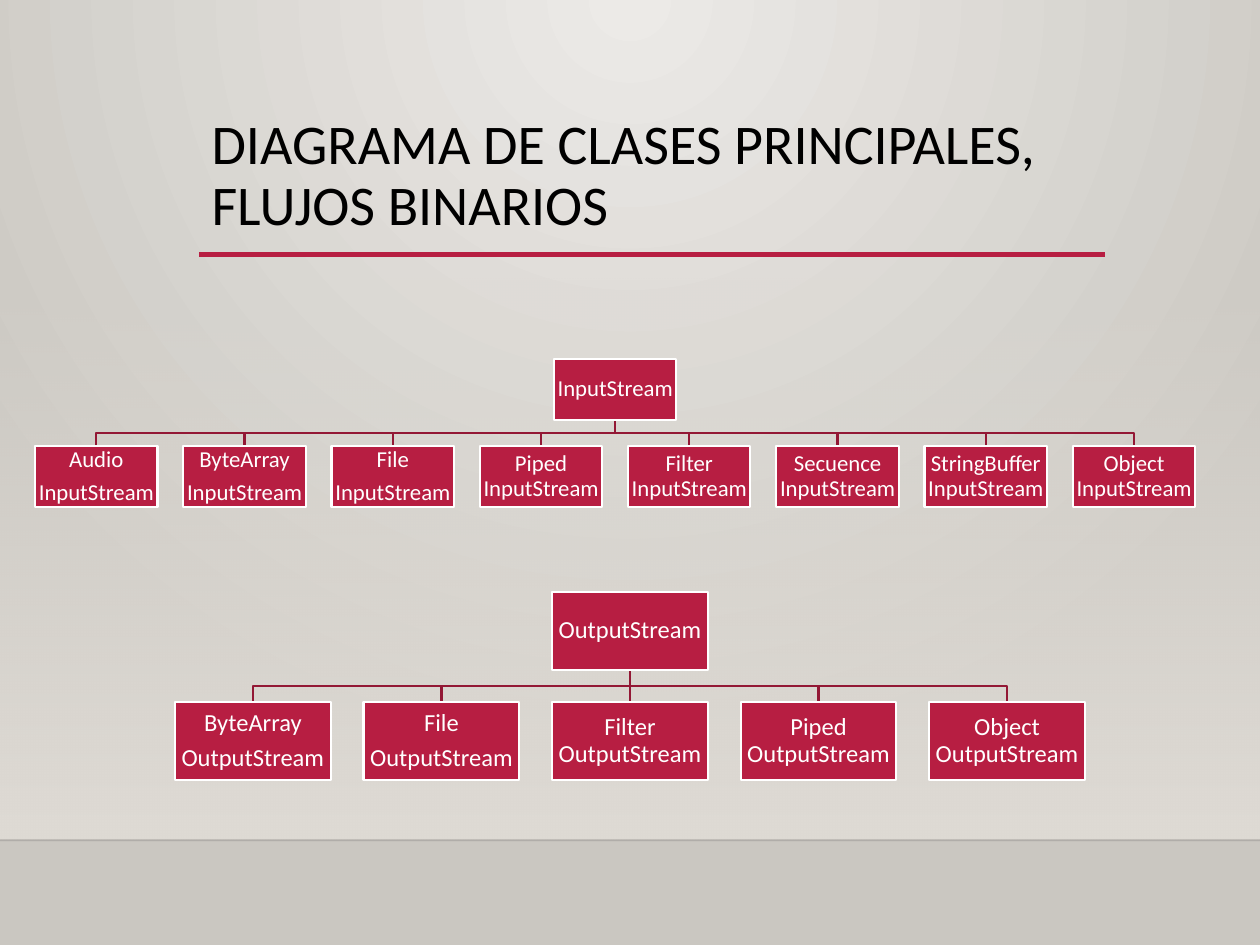
import pptx
import pptx.util
import pptx.dml.color
import pptx.enum.shapes
import pptx.enum.text
import pptx.oxml.ns
import lxml.etree

Pt = pptx.util.Pt
qn = pptx.oxml.ns.qn
RECT = pptx.enum.shapes.MSO_SHAPE.RECTANGLE
HUES = {"red": "B71E42", "link": "931835", "white": "FFFFFF", "ink": "000000",
        "rule": "000001", "veil": "DFDBD5", "pale": "ECEAE7", "stone": "CAC7C1"}


def hue(name):
    return pptx.dml.color.RGBColor.from_string(HUES[name])


def add(parent, tag, **attrs):
    return lxml.etree.SubElement(parent, qn(tag), attrs)


def fade(fill, owner, stops):
    fill.gradient()
    grad = next(owner.iter(qn("a:gradFill")))
    for child in list(grad):
        grad.remove(child)
    row = add(grad, "a:gsLst")
    for pos, name, alpha in stops:
        stop = add(row, "a:gs", pos=str(pos * 1000))
        tint = add(stop, "a:srgbClr", val=HUES[name])
        add(tint, "a:alpha", val=str(alpha * 1000))
    return grad


def style(item, values):
    for key, value in values.items():
        setattr(item, key, value)


def write(frame, lines, size, name, look, para):
    style(frame, look)
    for i, line in enumerate(lines):
        part = frame.paragraphs[0] if i == 0 else frame.add_paragraph()
        run = part.add_run()
        run.text = line
        style(part, para)
        style(run.font, {"size": Pt(size), "name": "Calibri"})
        run.font.color.rgb = hue(name)


def rule(slide, x, y, w, name, width):
    line = slide.shapes.add_connector(
        pptx.enum.shapes.MSO_CONNECTOR.STRAIGHT, Pt(x), Pt(y), Pt(x + w), Pt(y))
    line.line.color.rgb = hue(name)
    line.line.width = Pt(width)
    add(line._element.spPr, "a:effectLst")
    return line


def stage(slide, x, y, w, h):
    grad = fade(slide.background.fill, slide._element,
                [(0, "pale", 100), (100, "stone", 100)])
    ring = add(grad, "a:path", **{"path": "circle"})
    add(ring, "a:fillToRect", l="43000", t="0", r="43000", b="100000")
    veil = slide.shapes.add_shape(RECT, Pt(x), Pt(y), Pt(w), Pt(h))
    veil.shadow.inherit = False
    veil.line.fill.background()
    grad = fade(veil.fill, veil._element, [(0, "veil", 0), (100, "veil", 100)])
    add(grad, "a:lin", ang="5400000", scaled="0")
    edge = rule(slide, x, y + h, w, "rule", 1)
    tint = next(edge._element.spPr.iter(qn("a:srgbClr")))
    add(tint, "a:alpha", val="20000")


def head(slide, x, y, w, h, text):
    rule(slide, x, y + h, w, "red", 2.5)
    box = slide.shapes.add_textbox(Pt(x), Pt(y), Pt(w), Pt(h))
    look = {"word_wrap": True, "vertical_anchor": pptx.enum.text.MSO_ANCHOR.TOP}
    write(box.text_frame, [text], 32, "ink", look, {"line_spacing": 0.9})


def node(slide, x, y, w, h, lines, size):
    box = slide.shapes.add_shape(RECT, Pt(x), Pt(y), Pt(w), Pt(h))
    box.shadow.inherit = False
    box.fill.solid()
    box.fill.fore_color.rgb = hue("red")
    box.line.color.rgb = hue("white")
    box.line.width = Pt(1.25)
    look = {"word_wrap": True, "vertical_anchor": pptx.enum.text.MSO_ANCHOR.MIDDLE}
    for side in ("left", "right", "top", "bottom"):
        look["margin_" + side] = Pt(0.7)
    para = {"alignment": pptx.enum.text.PP_ALIGN.CENTER, "line_spacing": 0.9,
            "space_after": Pt(0.35 * size)}
    write(box.text_frame, lines, size, "white", look, para)


def link(slide, points):
    spots = [(Pt(x), Pt(y)) for x, y in points]
    pen = slide.shapes.build_freeform(*spots[0])
    pen.add_line_segments(spots[1:], close=False)
    wire = pen.convert_to_shape()
    wire.shadow.inherit = False
    wire.fill.background()
    wire.line.color.rgb = hue("link")
    wire.line.width = Pt(1.25)


def tree(slide, x, y, w, h, root, kids, size):
    count = len(kids)
    wide = w / (count + 0.21 * (count - 1))
    tall = wide / 2
    step = wide * 1.21
    axis = x + w / 2
    low = y + h - tall
    mid = (y + tall + low) / 2
    for i in reversed(range(count)):
        spot = x + wide / 2 + i * step
        bend = [(axis, mid), (spot, mid)] if abs(spot - axis) > 1 else []
        link(slide, [(axis, y + tall), *bend, (spot, low)])
    node(slide, axis - wide / 2, y, wide, tall, [root], size)
    for i, kid in enumerate(kids):
        lines = [kid, root] if i < split[root] else [kid + " " + root]
        node(slide, x + i * step, low, wide, tall, lines, size)


split = {"InputStream": 3, "OutputStream": 2}
deck = pptx.Presentation()
style(deck, {"slide_width": Pt(720), "slide_height": Pt(540)})
slide = deck.slides.add_slide(deck.slide_layouts[6])
stage(slide, 0, 158.7, 720, 321.5)
head(slide, 113.8, 63, 517.6, 82.5,
     "DIAGRAMA DE CLASES PRINCIPALES, FLUJOS BINARIOS")
tree(slide, 20, 205, 663, 84.8, "InputStream",
     ["Audio", "ByteArray", "File", "Piped", "Filter", "Secuence",
      "StringBuffer", "Object"], 13)
tree(slide, 100, 338.2, 520, 107.4, "OutputStream",
     ["ByteArray", "File", "Filter", "Piped", "Object"], 14)
deck.save("out.pptx")
